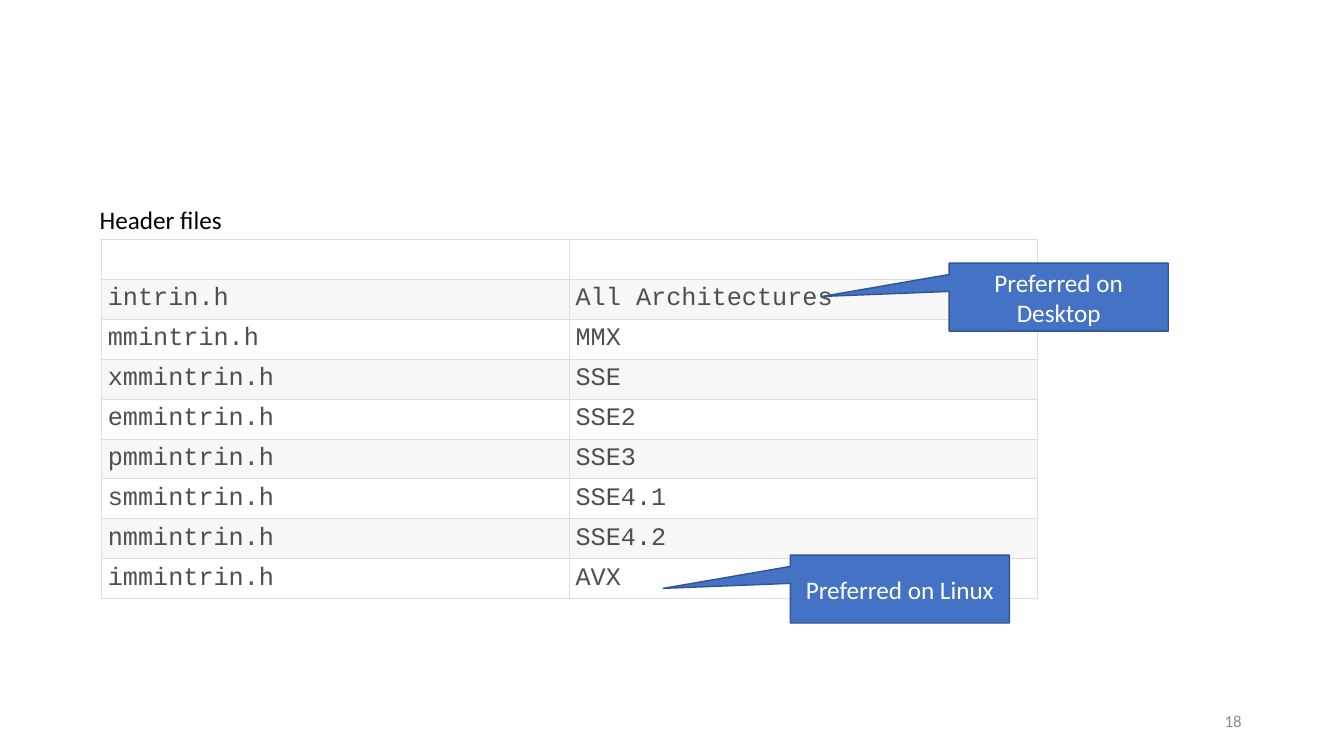
from pptx import Presentation
from pptx.dml.color import RGBColor
from pptx.enum.shapes import MSO_SHAPE
from pptx.enum.text import MSO_ANCHOR, MSO_AUTO_SIZE, PP_ALIGN
from pptx.oxml import parse_xml
from pptx.oxml.ns import nsdecls
from pptx.util import Pt

COLORS = {
    "paper": "FFFFFF", "band": "F7F7F7", "grid": "DDDDDD", "code": "4F4F4F",
    "ink": "000000", "page": "8C8C8C", "note": "4472C4", "edge": "325491",
}
HEADERS = [
    ("", ""),
    ("intrin.h", "All Architectures"),
    ("mmintrin.h", "MMX"),
    ("xmmintrin.h", "SSE"),
    ("emmintrin.h", "SSE2"),
    ("pmmintrin.h", "SSE3"),
    ("smmintrin.h", "SSE4.1"),
    ("nmmintrin.h", "SSE4.2"),
    ("immintrin.h", "AVX"),
]


def color(name):
    return RGBColor.from_string(COLORS[name])


def write(frame, text, size=18, face="Calibri", ink="ink", align=PP_ALIGN.LEFT,
          anchor=MSO_ANCHOR.MIDDLE):
    """Put one formatted paragraph into a text frame."""
    frame.word_wrap = True
    frame.vertical_anchor = anchor
    para = frame.paragraphs[0]
    para.alignment = align
    if text:
        run = para.add_run()
        run.text = text
        run.font.size = Pt(size)
        run.font.name = face
        run.font.color.rgb = color(ink)


class Page:
    """Holds the current slide and the style of its elements."""
    mono = "Courier New"
    row = 28.5

    def __init__(self, deck):
        self.slide = deck.slides.add_slide(deck.slide_layouts[5])
        self.shapes = self.slide.shapes

    def title(self, text, *box):
        head = self.shapes.title
        head.left, head.top, head.width, head.height = map(Pt, box)
        head.text_frame.auto_size = MSO_AUTO_SIZE.NONE
        write(head.text_frame, text, anchor=MSO_ANCHOR.TOP)

    def table(self, data, left, top, width):
        rows, cols = len(data), len(data[0])
        grid = self.shapes.add_table(rows, cols, Pt(left), Pt(top),
                                     Pt(width), Pt(self.row * rows)).table
        for r, line in enumerate(data):
            grid.rows[r].height = Pt(self.row)
            for c, text in enumerate(line):
                self.cell(grid.cell(r, c), text, "band" if r % 2 else "paper")

    def cell(self, cell, text, fill):
        cell.margin_left = cell.margin_right = Pt(4.3)
        cell.margin_top = cell.margin_bottom = Pt(2)
        write(cell.text_frame, text, face=self.mono, ink="code")
        cell.vertical_anchor = MSO_ANCHOR.MIDDLE
        # Borders come before the fill in the cell properties
        props = cell._tc.get_or_add_tcPr()
        for side in ("lnL", "lnR", "lnT", "lnB"):
            props.append(parse_xml(
                f'<a:{side} {nsdecls("a")} w="{Pt(0.5)}"><a:solidFill>'
                f'<a:srgbClr val="{COLORS["grid"]}"/></a:solidFill></a:{side}>'))
        cell.fill.solid()
        cell.fill.fore_color.rgb = color(fill)

    def callout(self, text, left, top):
        note = self.shapes.add_shape(MSO_SHAPE.RECTANGULAR_CALLOUT, Pt(left),
                                     Pt(top), Pt(156.5), Pt(48.5))
        note.adjustments[0], note.adjustments[1] = -1.08, -0.01
        note.shadow.inherit = False
        note.fill.solid()
        note.fill.fore_color.rgb = color("note")
        note.line.color.rgb = color("edge")
        note.line.width = Pt(1)
        write(note.text_frame, text, ink="paper", align=PP_ALIGN.CENTER)

    def number(self, text, *box):
        frame = self.shapes.add_textbox(*map(Pt, box)).text_frame
        write(frame, text, size=12, ink="page", align=PP_ALIGN.RIGHT)


def main():
    deck = Presentation()
    deck.slide_width, deck.slide_height = Pt(960), Pt(540)
    page = Page(deck)

    # Heading and table of header files
    page.title("Header files", 64, 142, 480, 29)
    page.table(HEADERS, 72.7, 171, 668.4)

    # Platform notes
    page.callout("Preferred on Desktop", 678, 188)
    page.callout("Preferred on Linux", 564.5, 396.5)

    # Page number
    page.number("18", 678, 500.5, 216, 28.75)
    deck.save("out.pptx")


if __name__ == "__main__":
    main()
